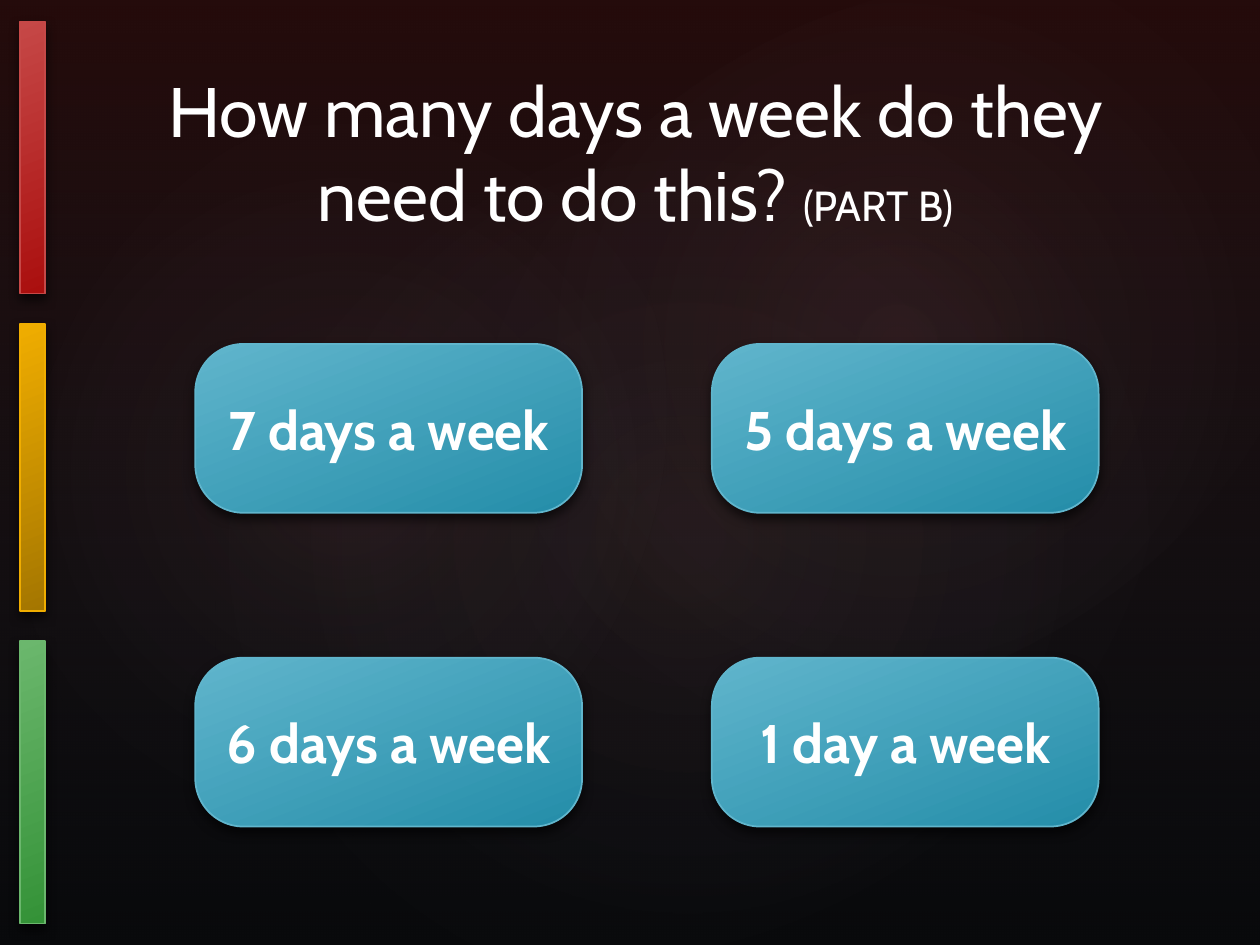
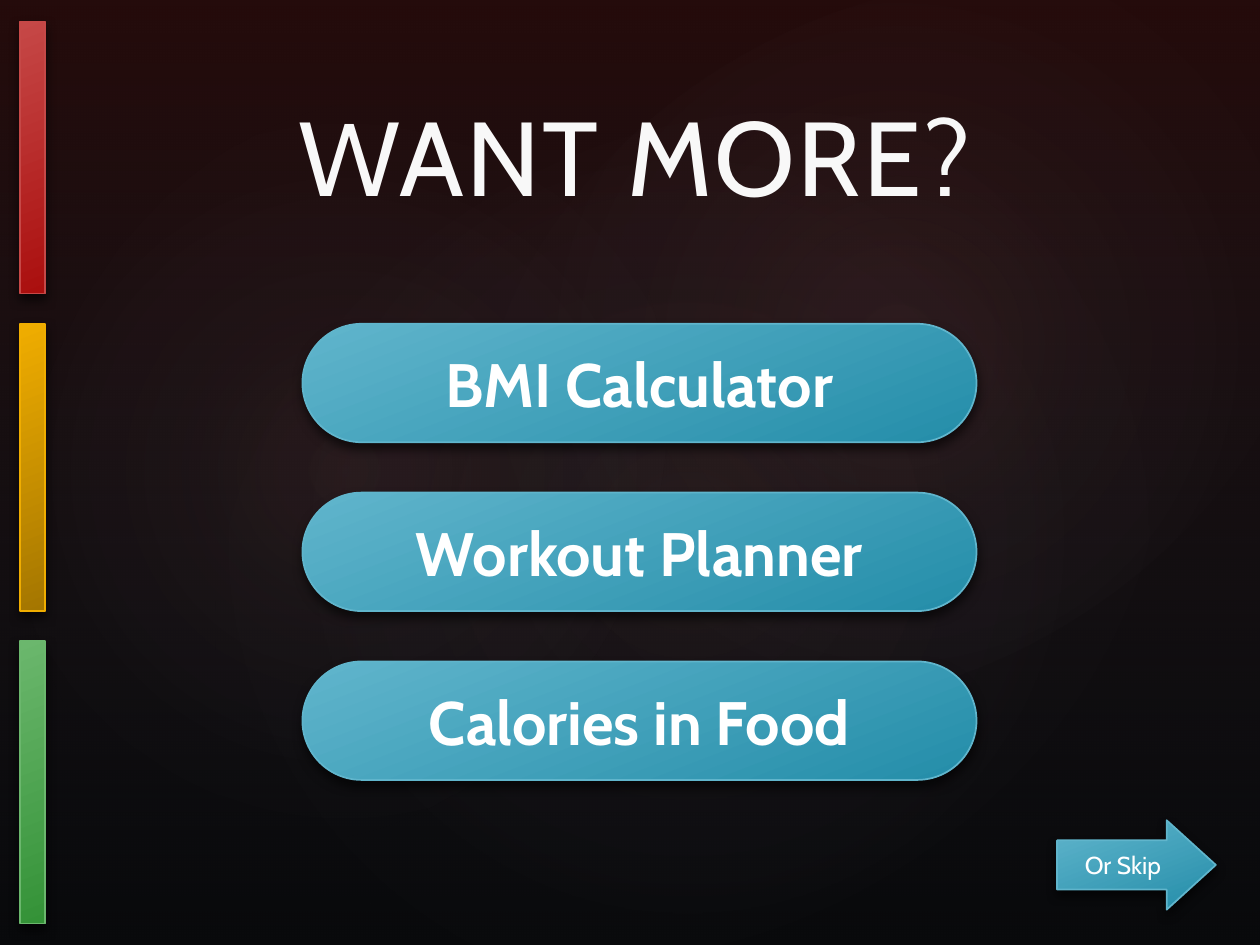
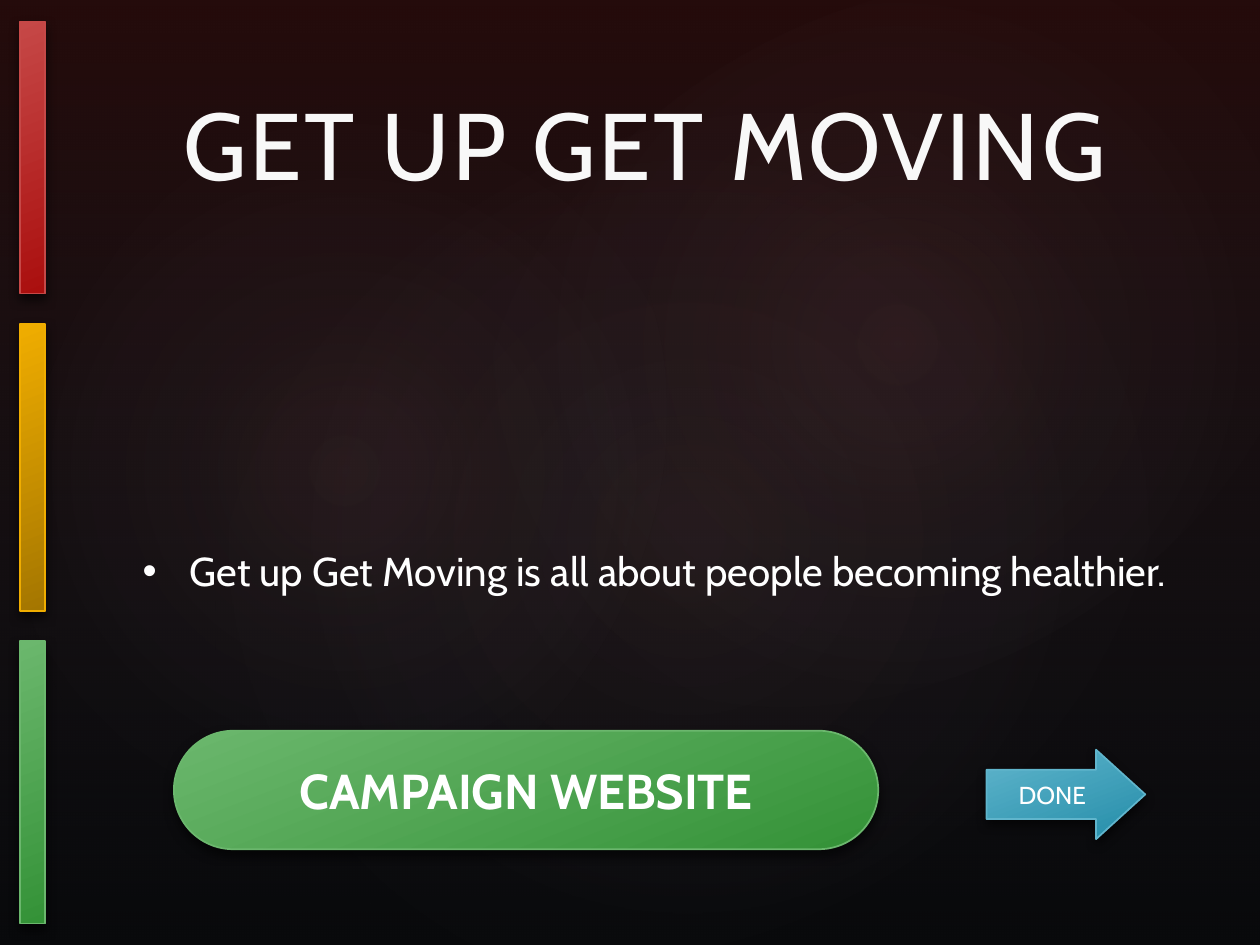
import lxml.etree
import pptx
import pptx.dml.color
import pptx.enum.shapes
import pptx.enum.text
import pptx.oxml.ns
import pptx.util

WIDTH, HEIGHT = pptx.util.Inches(10), pptx.util.Inches(7.5)
COLUMN, ROW = WIDTH / 100, HEIGHT / 75
FONT = "Cabin"
COLOURS = {
    "black": "000000", "white": "FFFFFF", "heading": "F8F8F8",
    "maroon": "672020", "slate": "5A6378", "rose": "DD9191",
    "red": "C64847", "dark red": "AA0F0E",
    "amber": "F0AD00", "dark amber": "A47600",
    "green": "6BB76D", "dark green": "349237",
    "blue": "60B5CC", "dark blue": "248DA9",
}
SHAPES = pptx.enum.shapes.MSO_SHAPE
ANCHORS = pptx.enum.text.MSO_ANCHOR
CENTER = pptx.enum.text.PP_ALIGN.CENTER


def rgb(colour):
    """Return the named colour as an RGBColor."""
    return pptx.dml.color.RGBColor.from_string(COLOURS[colour])


def grid(box):
    """Convert a box in columns and rows to slide units."""
    left, top, width, height = box
    return [round(n) for n in (left * COLUMN, top * ROW, width * COLUMN, height * ROW)]


def add_xml(parent, tag, **attributes):
    """Append a drawing element with the given attributes."""
    values = {name: str(value) for name, value in attributes.items()}
    return lxml.etree.SubElement(parent, pptx.oxml.ns.qn(f"a:{tag}"), values)


def add_colour(parent, colour, opacity):
    """Append a colour with its opacity in percent."""
    element = add_xml(parent, "srgbClr", val=COLOURS[colour])
    if opacity < 100:
        add_xml(element, "alpha", val=opacity * 1000)


def shade(shape, stops, angle=None):
    """Fill with a linear gradient, or a circular one when no angle is given."""
    shape.fill.gradient()
    gradient = shape.element.spPr.find(pptx.oxml.ns.qn("a:gradFill"))
    gradient.clear()
    gradient.set("rotWithShape", "1")
    stop_list = add_xml(gradient, "gsLst")
    for position, colour, opacity in stops:
        add_colour(add_xml(stop_list, "gs", pos=position * 1000), colour, opacity)
    if angle is None:
        circle = add_xml(gradient, "path", path="circle")
        add_xml(circle, "fillToRect", l=50000, t=50000, r=50000, b=50000)
    else:
        add_xml(gradient, "lin", ang=angle * 60000, scaled=0)


def write(frame, pieces, colour="white", bold=None, spacing=None, anchor=ANCHORS.BOTTOM):
    """Write one centred paragraph from (text, size) pieces."""
    frame.word_wrap = True
    frame.auto_size = pptx.enum.text.MSO_AUTO_SIZE.NONE
    frame.vertical_anchor = anchor
    paragraph = frame.paragraphs[0]
    paragraph.alignment = CENTER
    paragraph.space_before = pptx.util.Pt(0)
    for text, size in pieces:
        run = paragraph.add_run()
        run.text = text
        run.font.name = FONT
        run.font.size = pptx.util.Pt(size)
        run.font.bold = bold
        run.font.color.rgb = rgb(colour)
        if spacing:
            run._r.get_or_add_rPr().set("spc", str(spacing))


def write_placeholder(placeholder, box, pieces, **style):
    """Move a placeholder to its box and write its text."""
    placeholder.left, placeholder.top, placeholder.width, placeholder.height = grid(box)
    write(placeholder.text_frame, pieces, **style)


def glossy(slide, kind, box, hue, adjustments=()):
    """Add a shape with the shared gradient, outline and soft shadow."""
    shape = slide.shapes.add_shape(kind, *grid(box))
    for index, value in enumerate(adjustments):
        shape.adjustments[index] = value
    shade(shape, [(0, hue, 100), (100, f"dark {hue}", 100)], 69)
    shape.line.color.rgb = rgb(hue)
    shape.line.width = pptx.util.Pt(1)
    shape.shadow.inherit = False
    effects = shape.element.spPr.find(pptx.oxml.ns.qn("a:effectLst"))
    shadow = add_xml(effects, "outerShdw", blurRad=pptx.util.Pt(6), dist=pptx.util.Pt(3),
                     dir=90 * 60000, algn="ctr", rotWithShape=0)
    add_colour(shadow, "black", 60)
    return shape


def button(slide, kind, box, label, size, hue="blue", adjustments=(0.5,), bold=True):
    """Add a labelled glossy button."""
    shape = glossy(slide, kind, box, hue, adjustments)
    shape.text_frame.margin_left = shape.text_frame.margin_right = 0
    write(shape.text_frame, [(label, size)], bold=bold, anchor=ANCHORS.MIDDLE)


def button_grid(slide, box, labels, columns, button_size, size, rounding):
    """Spread equal buttons over the box, row by row."""
    left, top, width, height = box
    button_width, button_height = button_size
    rows = len(labels) // columns
    across = (width - button_width) / max(columns - 1, 1)
    down = (height - button_height) / max(rows - 1, 1)
    for index, label in enumerate(labels):
        row, column = divmod(index, columns)
        place = (left + column * across, top + row * down, button_width, button_height)
        button(slide, SHAPES.ROUNDED_RECTANGLE, place, label, size, adjustments=(rounding,))


def next_arrow(slide, left, top, label):
    """Add the arrow that leads on from the slide."""
    button(slide, SHAPES.RIGHT_ARROW, (left, top, 12.6, 7.1), label, 14,
           adjustments=(0.55, 0.55), bold=False)


def traffic_light(slide, left=1.6, width=2):
    """Add the red, amber and green bars at the left edge."""
    for hue, top, height in (("red", 1.7, 21.6), ("amber", 25.7, 22.8), ("green", 50.9, 22.4)):
        glossy(slide, SHAPES.RECTANGLE, (left, top, width, height), hue)


def backdrop(master, slide):
    """Give the master a black ground, a maroon wash and three faint glows."""
    master.background.fill.solid()
    master.background.fill.fore_color.rgb = rgb("black")
    wash = slide.shapes.add_shape(SHAPES.RECTANGLE, 0, 0, WIDTH, HEIGHT)
    shade(wash, [(0, "maroon", 36), (100, "slate", 10)], 90)
    layers = [wash]
    for box, rotation, opacity in (
        ((15, 11.4, 79.2, 62.4), 328.7, 7),
        ((-3, 12.8, 60.6, 49), 294.3, 8),
        ((35.8, 1.3, 70.9, 52), 328.7, 8),
    ):
        glow = slide.shapes.add_shape(SHAPES.OVAL, *grid(box))
        glow.rotation = rotation
        shade(glow, [(0, "rose", opacity), (58, "slate", 0)])
        layers.append(glow)
    for index, layer in enumerate(layers):
        layer.line.fill.background()
        layer.shadow.inherit = False
        layer.element.nvSpPr.cNvPr.set("id", str(100 + index))
        master.shapes.element.insert(2 + index, layer.element)


def question_slide(slide):
    """Ask the question above four answers."""
    write_placeholder(slide.shapes.title, (8.4, 8.4, 84.1, 10.8),
                      [("How many days a week do they need to do this? ", 40), ("(PART B)", 24)])
    answers = ["7 days a week", "5 days a week", "6 days a week", "1 day a week"]
    button_grid(slide, (15.5, 27.3, 71.7, 38.3), answers, 2, (30.7, 13.4), 31, 0.285)


def more_slide(slide):
    """Offer three further tools and a way to skip them."""
    write_placeholder(slide.shapes.title, (6.7, 9.9, 87.4, 7.9), [("WANT MORE?", 60)],
                      colour="heading", spacing=150)
    tools = ["BMI Calculator", "Workout Planner", "Calories in Food"]
    button_grid(slide, (24, 25.7, 53.5, 36.2), tools, 1, (53.5, 9.4), 35, 0.5)
    next_arrow(slide, 83.9, 65.1, "Or Skip")


def campaign_slide(slide):
    """Close with the campaign's aim and its website."""
    write_placeholder(slide.shapes.title, (7.5, 8.4, 87.4, 7.9), [("GET UP GET MOVING", 54)],
                      colour="heading", spacing=150)
    write_placeholder(slide.placeholders[1], (7.5, 18.6, 89, 29.1),
                      [("Get up Get Moving is all about people becoming healthier.", 23)])
    button(slide, SHAPES.ROUNDED_RECTANGLE, (13.8, 58, 55.9, 9.4), "CAMPAIGN WEBSITE", 28, "green")
    next_arrow(slide, 78.3, 59.5, "DONE")


def main():
    """Build the three slides and save them."""
    deck = pptx.Presentation()
    deck.slide_width, deck.slide_height = WIDTH, HEIGHT
    title_only, title_and_list = deck.slide_layouts[5], deck.slide_layouts[1]
    pages = ((title_only, question_slide), (title_only, more_slide), (title_and_list, campaign_slide))
    for layout, fill_in in pages:
        slide = deck.slides.add_slide(layout)
        fill_in(slide)
        traffic_light(slide)
    backdrop(deck.slide_master, deck.slides[0])
    deck.save("out.pptx")


if __name__ == "__main__":
    main()
